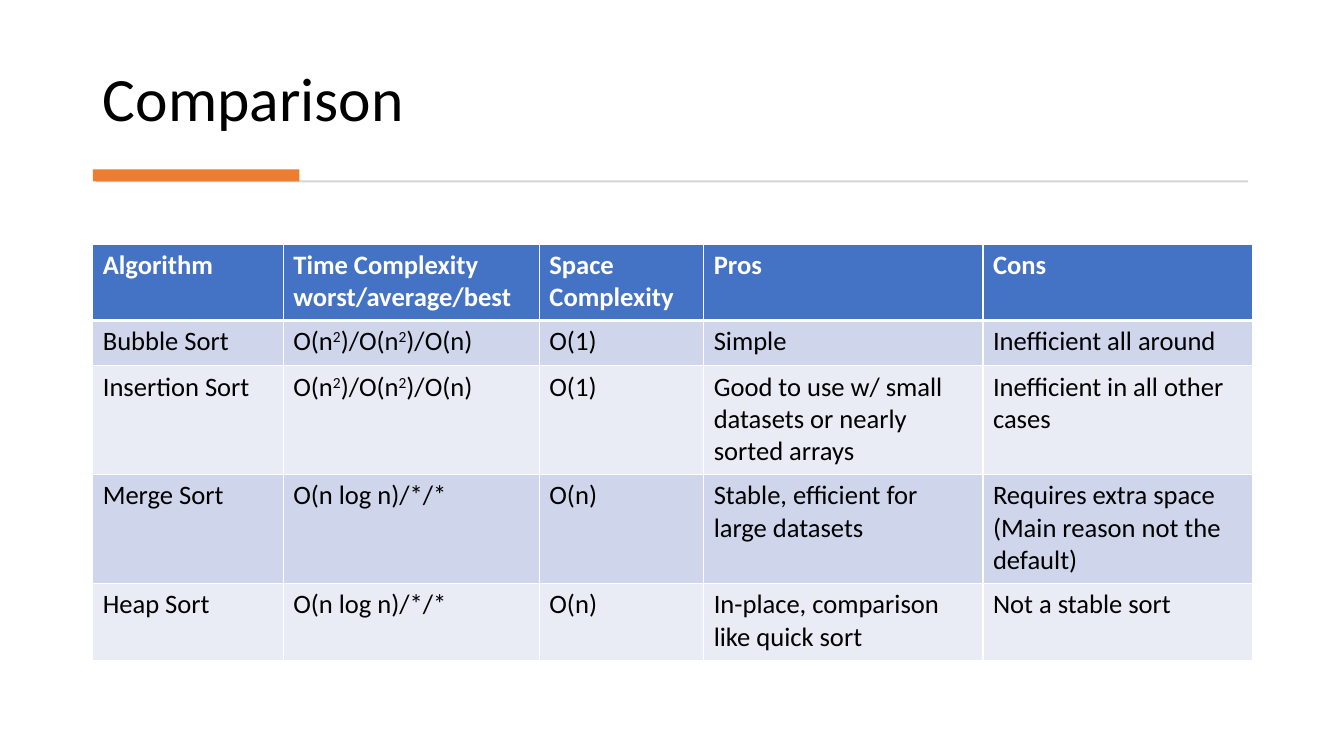
from lxml import etree
from pptx import Presentation
from pptx.dml.color import RGBColor
from pptx.enum import shapes, text
from pptx.oxml.ns import qn
from pptx.util import Inches, Pt

FONT = "Calibri"
BLACK = RGBColor(0x00, 0x00, 0x00)
WHITE = RGBColor(0xFF, 0xFF, 0xFF)
GREY = RGBColor(0xD5, 0xD5, 0xD5)
ORANGE = RGBColor(0xED, 0x7D, 0x31)
BLUE = RGBColor(0x44, 0x72, 0xC4)
BANDS = [RGBColor(0xE9, 0xEB, 0xF5), RGBColor(0xCF, 0xD5, 0xEA)]

COLUMN_WIDTHS = [1.89, 2.54, 1.63, 2.77, 2.67]
ROW_HEIGHTS = [0.76, 0.45, 1.08, 1.08, 0.76]
# A bar switches superscript on and off
QUADRATIC = "O(n|2|)/O(n|2|)/O(n)"
ROWS = [
    ["Algorithm", "Time Complexity worst/average/best", "Space Complexity",
     "Pros", "Cons"],
    ["Bubble Sort", QUADRATIC, "O(1)", "Simple", "Inefficient all around"],
    ["Insertion Sort", QUADRATIC, "O(1)",
     "Good to use w/ small datasets or nearly sorted arrays",
     "Inefficient in all other cases"],
    ["Merge Sort", "O(n log n)/*/*", "O(n)",
     "Stable, efficient for large datasets",
     "Requires extra space (Main reason not the default)"],
    ["Heap Sort", "O(n log n)/*/*", "O(n)",
     "In-place, comparison like quick sort", "Not a stable sort"],
]


def add_span(para, words, size, color, bold=False):
    span = para.add_run()
    span.text = words
    span.font.name = FONT
    span.font.size = Pt(size)
    span.font.bold = bold
    span.font.color.rgb = color
    return span


def add_border(cell, side, points):
    line = etree.SubElement(cell._tc.get_or_add_tcPr(), qn(f"a:{side}"),
                            w=str(Pt(points)))
    fill = etree.SubElement(line, qn("a:solidFill"))
    etree.SubElement(fill, qn("a:srgbClr"), val=str(WHITE))


deck = Presentation()
deck.slide_width = Inches(13.33)
deck.slide_height = Inches(7.5)
page = deck.slides.add_slide(deck.slide_layouts[5])

# Title
title = page.shapes.title
title.left, title.top = Inches(0.92), Inches(0.28)
title.width, title.height = Inches(11.49), Inches(1.11)
frame = title.text_frame
frame.auto_size = text.MSO_AUTO_SIZE.NONE
frame.word_wrap = True
frame.vertical_anchor = text.MSO_ANCHOR.BOTTOM
para = frame.paragraphs[0]
para.alignment = text.PP_ALIGN.LEFT
para.line_spacing = 0.9
add_span(para, "Comparison", 44, BLACK)

# Rule with accent bar
for left, top, width, height, color in [
    (0.95, 1.79, 11.43, 0.02, GREY),
    (0.92, 1.68, 2.05, 0.12, ORANGE),
]:
    bar = page.shapes.add_shape(shapes.MSO_SHAPE.RECTANGLE, Inches(left),
                                Inches(top), Inches(width), Inches(height))
    bar.shadow.inherit = False
    bar.fill.solid()
    bar.fill.fore_color.rgb = color
    bar.line.fill.background()

# Comparison table
table = page.shapes.add_table(
    len(ROWS), len(COLUMN_WIDTHS), Inches(0.92), Inches(2.42),
    Inches(sum(COLUMN_WIDTHS)), Inches(sum(ROW_HEIGHTS))).table
for column, width in zip(table.columns, COLUMN_WIDTHS):
    column.width = Inches(width)
for row, height in zip(table.rows, ROW_HEIGHTS):
    row.height = Inches(height)

for r, row in enumerate(ROWS):
    header = r == 0
    for c, words in enumerate(row):
        cell = table.cell(r, c)
        cell.margin_left = cell.margin_right = Inches(0.1)
        cell.margin_top = cell.margin_bottom = Inches(0.05)
        add_border(cell, "lnL", 1)
        add_border(cell, "lnR", 1)
        add_border(cell, "lnT", 3 if r == 1 else 1)
        add_border(cell, "lnB", 3 if header else 1)
        cell.fill.solid()
        cell.fill.fore_color.rgb = BLUE if header else BANDS[r % 2]
        para = cell.text_frame.paragraphs[0]
        for i, part in enumerate(words.split("|")):
            span = add_span(para, part, 19, WHITE if header else BLACK, header)
            if i % 2:
                span.font._element.set("baseline", "30000")

deck.save("out.pptx")
